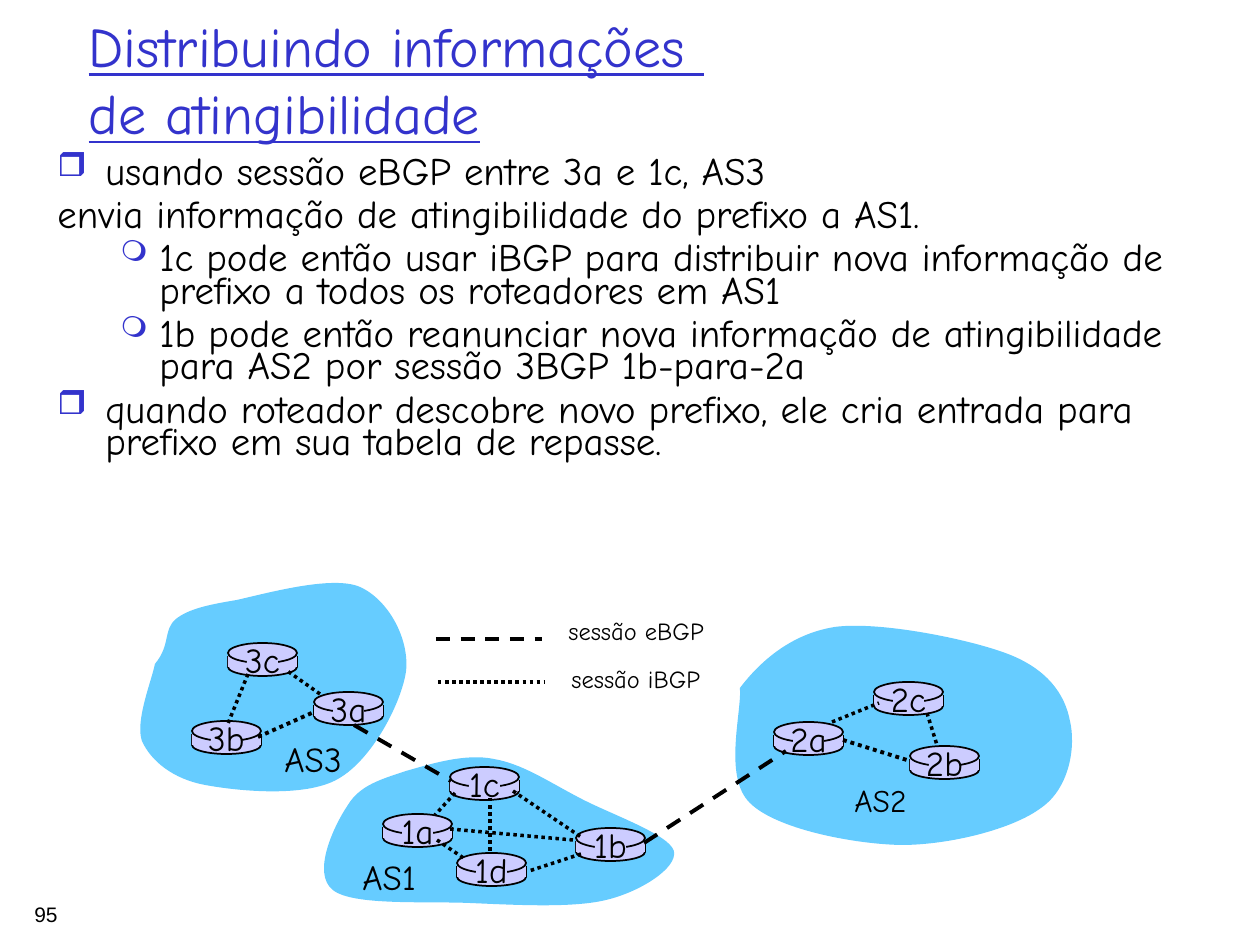
"""Slide on how BGP sessions distribute reachability information between three ASes."""
from dataclasses import dataclass

from lxml.etree import SubElement
from pptx import Presentation
from pptx.dml.color import RGBColor
from pptx.enum.dml import MSO_LINE as Dash
from pptx.enum.shapes import MSO_CONNECTOR, MSO_SHAPE as Preset
from pptx.enum.text import MSO_ANCHOR as Anchor, MSO_AUTO_SIZE as AutoSize, PP_ALIGN as Align
from pptx.oxml.ns import qn
from pptx.util import Emu, Pt

SCALE = 914400 / 126


@dataclass(frozen=True)
class Theme:
    font: str = "Comic Neue"
    number_font: str = "Arial"
    ink: str = "000000"
    accent: str = "3333CC"
    cloud: str = "66CCFF"
    router: str = "CCCCFF"
    title: float = 32
    body: float = 22.2
    label: float = 20
    small_label: float = 18
    legend: float = 14
    number: float = 12
    outline: float = 1
    session: float = 2
    wide_session: float = 2.25


THEME = Theme()

BULLETS = {0: ("❒", 85, 48, -48), 1: ("❍", 75, 102, -39)}
BODY = [
    (0, True, "usando sessão eBGP entre 3a e 1c, AS3"),
    (0, False, "envia informação de atingibilidade do prefixo a AS1."),
    (1, True, "1c pode então usar iBGP para distribuir nova informação de prefixo a todos os "
              "roteadores em AS1"),
    (1, True, "1b pode então reanunciar nova informação de atingibilidade para AS2 por sessão "
              "3BGP 1b-para-2a"),
    (0, True, "quando roteador descobre novo prefixo, ele cria entrada para prefixo em sua "
              "tabela de repasse."),
]
AS2_CLOUD = [
    (740, 688), (759, 663), (790, 634), (835, 627), (879, 621), (969, 639), (1008, 654),
    (1047, 669), (1065, 694), (1070, 721), (1076, 746), (1070, 788), (1041, 808),
    (1013, 829), (950, 845), (901, 845), (853, 844), (776, 829), (750, 803),
    (723, 777), (742, 712), (740, 688),
]
AS3_CLOUD = [
    (155, 664), (171, 645), (163, 630), (176, 619), (189, 609), (207, 605), (237, 600),
    (268, 593), (333, 575), (360, 587), (389, 600), (410, 640), (406, 672),
    (401, 704), (372, 760), (338, 779), (305, 798), (237, 791), (205, 785),
    (173, 779), (151, 761), (142, 741), (135, 721), (152, 680), (155, 664),
]
AS1_CLOUD = [
    (348, 805), (360, 785), (382, 779), (406, 771), (431, 764), (465, 753), (494, 759),
    (523, 764), (549, 782), (580, 798), (610, 814), (669, 834), (674, 851),
    (678, 868), (640, 892), (606, 900), (573, 908), (517, 905), (471, 903),
    (426, 901), (353, 906), (333, 890), (311, 873), (335, 824), (348, 805),
]
ROUTERS = {
    "3b": (192, 721), "1d": (457, 853), "3a": (314, 692), "1c": (450, 767), "2a": (774, 722),
    "1a": (383, 814), "2c": (874, 682), "2b": (910, 746), "1b": (576, 828), "3c": (228, 643),
}
SESSIONS = [
    (Dash.DASH, THEME.wide_session, [(354, 725, 451, 781), (644, 843, 786, 751)]),
    (Dash.DASH, THEME.session, [(436, 639, 542, 639)]),
    (Dash.ROUND_DOT, THEME.wide_session, [(843, 740, 910, 761), (258, 737, 314, 712)]),
    (Dash.ROUND_DOT, THEME.session, [
        (455, 793, 435, 815), (490, 798, 490, 852), (513, 791, 581, 837),
        (581, 854, 529, 871), (573, 840, 450, 829), (832, 722, 879, 703),
        (320, 694, 286, 670), (248, 674, 227, 726), (927, 713, 937, 745),
        (437, 840, 465, 859), (438, 682, 544, 682),
    ]),
]
LABELS = [
    ("AS3", (272, 731, 100, 55), THEME.label),
    ("AS1", (350, 849, 100, 55), THEME.label),
    ("AS2", (842, 775, 100, 50), THEME.small_label),
    ("sessão eBGP", (556, 610, 180, 43), THEME.legend),
    ("sessão iBGP", (559, 658, 180, 43), THEME.legend),
]


def px(*lengths):
    return [Emu(round(length * SCALE)) for length in lengths]


def paint(shape, fill, outlined=False):
    shape.shadow.inherit = False
    shape.fill.solid()
    shape.fill.fore_color.rgb = RGBColor.from_string(fill)
    if outlined:
        shape.line.color.rgb = RGBColor.from_string(THEME.ink)
        shape.line.width = Pt(THEME.outline)
    else:
        shape.line.fill.background()


def style_runs(paragraph, size, color=THEME.ink, font=THEME.font, underline=None):
    for run in paragraph.runs:
        run.font.size = Pt(size)
        run.font.name = font
        run.font.underline = underline
        run.font.color.rgb = RGBColor.from_string(color)


def add_title(slide, wording):
    title = slide.shapes.title
    title.left, title.top, title.width, title.height = px(76, 0, 1071, 158)
    frame = title.text_frame
    frame.text = wording
    frame.auto_size = AutoSize.NONE
    frame.vertical_anchor = Anchor.MIDDLE
    frame.paragraphs[0].alignment = Align.LEFT
    style_runs(frame.paragraphs[0], THEME.title, THEME.accent, underline=True)


def set_bullet(paragraph, level, marked):
    mark, percent, margin, indent = BULLETS[level]
    properties = paragraph._p.get_or_add_pPr()
    properties.set("marL", str(px(margin)[0]))
    properties.set("indent", str(px(indent)[0]))
    if not marked:
        SubElement(properties, qn("a:buNone"))
        return
    color = SubElement(properties, qn("a:buClr"))
    SubElement(color, qn("a:srgbClr"), val=THEME.accent)
    SubElement(properties, qn("a:buSzPct"), val=str(percent * 1000))
    SubElement(properties, qn("a:buChar"), char=mark)


def add_body(slide, items):
    frame = slide.shapes.add_textbox(*px(45, 153, 1162, 326)).text_frame
    frame.word_wrap = True
    for index, (level, marked, wording) in enumerate(items):
        paragraph = frame.add_paragraph() if index else frame.paragraphs[0]
        paragraph.text = wording
        paragraph.level = level
        set_bullet(paragraph, level, marked)
        paragraph.line_spacing = 0.7
        paragraph.space_before = Pt(6 if index else 0)
        style_runs(paragraph, THEME.body)


def add_label(slide, wording, box, size, align=Align.LEFT, font=THEME.font):
    frame = slide.shapes.add_textbox(*px(*box)).text_frame
    frame.word_wrap = False
    frame.auto_size = AutoSize.NONE
    frame.text = wording
    frame.paragraphs[0].alignment = align
    style_runs(frame.paragraphs[0], size, font=font)


def add_line(slide, ends, width, dash=None):
    line = slide.shapes.add_connector(MSO_CONNECTOR.STRAIGHT, *px(*ends))
    line.line.color.rgb = RGBColor.from_string(THEME.ink)
    line.line.width = Pt(width)
    if dash is not None:
        line.line.dash_style = dash
    SubElement(line._element.spPr, qn("a:effectLst"))


def add_cloud(slide, points):
    builder = slide.shapes.build_freeform(*points[0], scale=SCALE)
    builder.add_line_segments(points[1:], close=True)
    cloud = builder.convert_to_shape()
    segments = list(cloud._element.iter(qn("a:lnTo")))
    for first, second, third in zip(*[iter(segments)] * 3):
        curve = first.makeelement(qn("a:cubicBezTo"))
        first.addprevious(curve)
        for segment in (first, second, third):
            curve.append(segment[0])
            segment.getparent().remove(segment)
    paint(cloud, THEME.cloud)


def add_router(slide, name, left, top):
    def add_part(preset, x, y, width, height, outlined=False):
        part = slide.shapes.add_shape(preset, *px(left + x, top + y, width, height))
        paint(part, THEME.router, outlined)

    add_part(Preset.OVAL, 0, 15, 69, 18, outlined=True)
    for side in (left, left + 69):
        add_line(slide, (side, top + 13, side, top + 24), THEME.outline)
    add_part(Preset.RECTANGLE, 0, 13, 69, 11)
    add_part(Preset.OVAL, 0, 0, 69, 20, outlined=True)
    add_part(Preset.RECTANGLE, 19, 2, 31, 27)
    add_label(slide, name, (left - 8, top - 11, 85, 55), THEME.label, Align.CENTER)


def main():
    deck = Presentation()
    deck.slide_width, deck.slide_height = px(1260, 945)
    slide = deck.slides.add_slide(deck.slide_layouts[5])
    add_label(slide, "95", (22, 895, 60, 29), THEME.number, font=THEME.number_font)
    add_title(slide, "Distribuindo informações \vde atingibilidade")
    add_body(slide, BODY)
    for points in (AS2_CLOUD, AS3_CLOUD, AS1_CLOUD):
        add_cloud(slide, points)
    for name, (left, top) in ROUTERS.items():
        add_router(slide, name, left, top)
    for dash, width, routes in SESSIONS:
        for ends in routes:
            add_line(slide, ends, width, dash)
    for wording, box, size in LABELS:
        add_label(slide, wording, box, size)
    deck.save("out.pptx")


if __name__ == "__main__":
    main()
